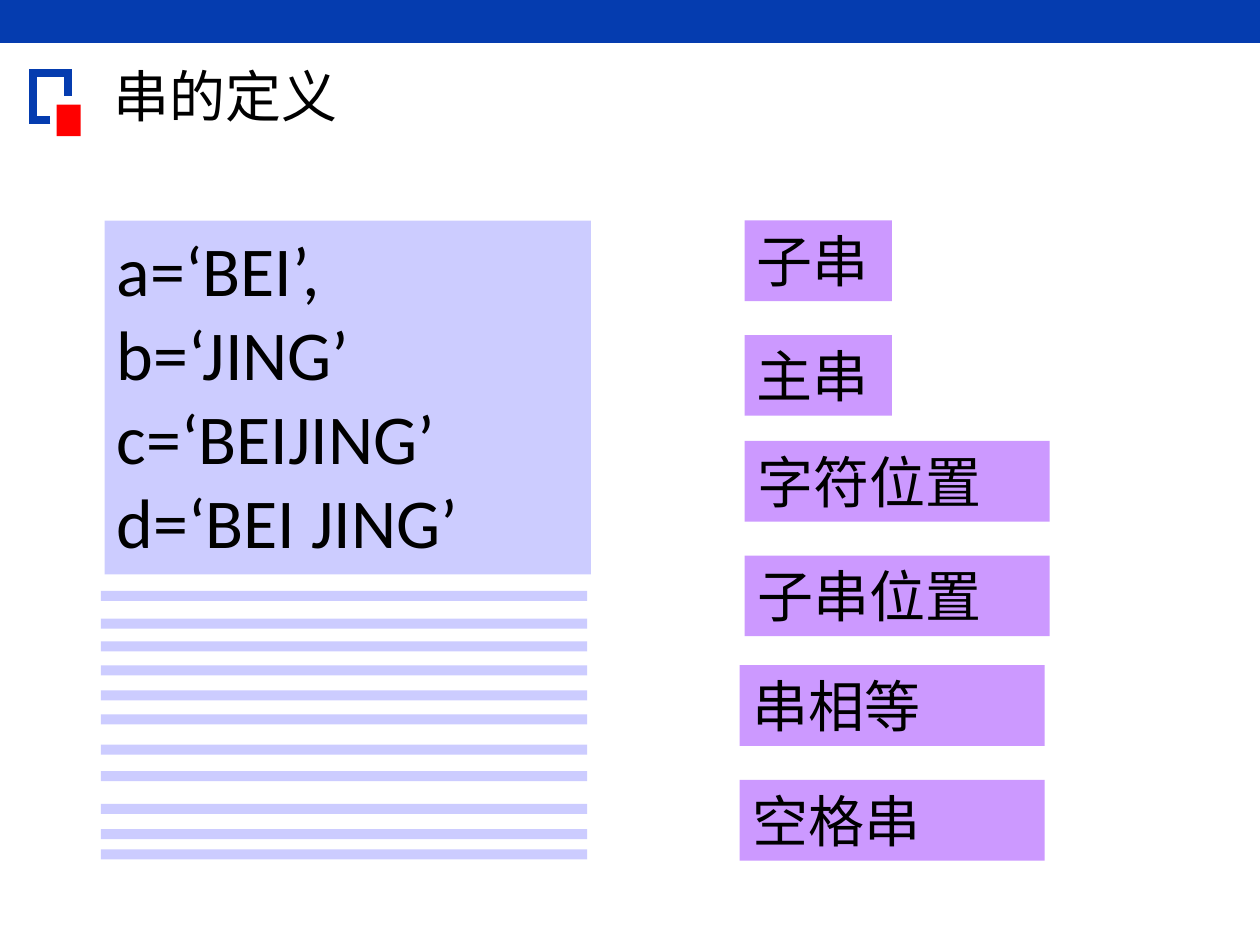
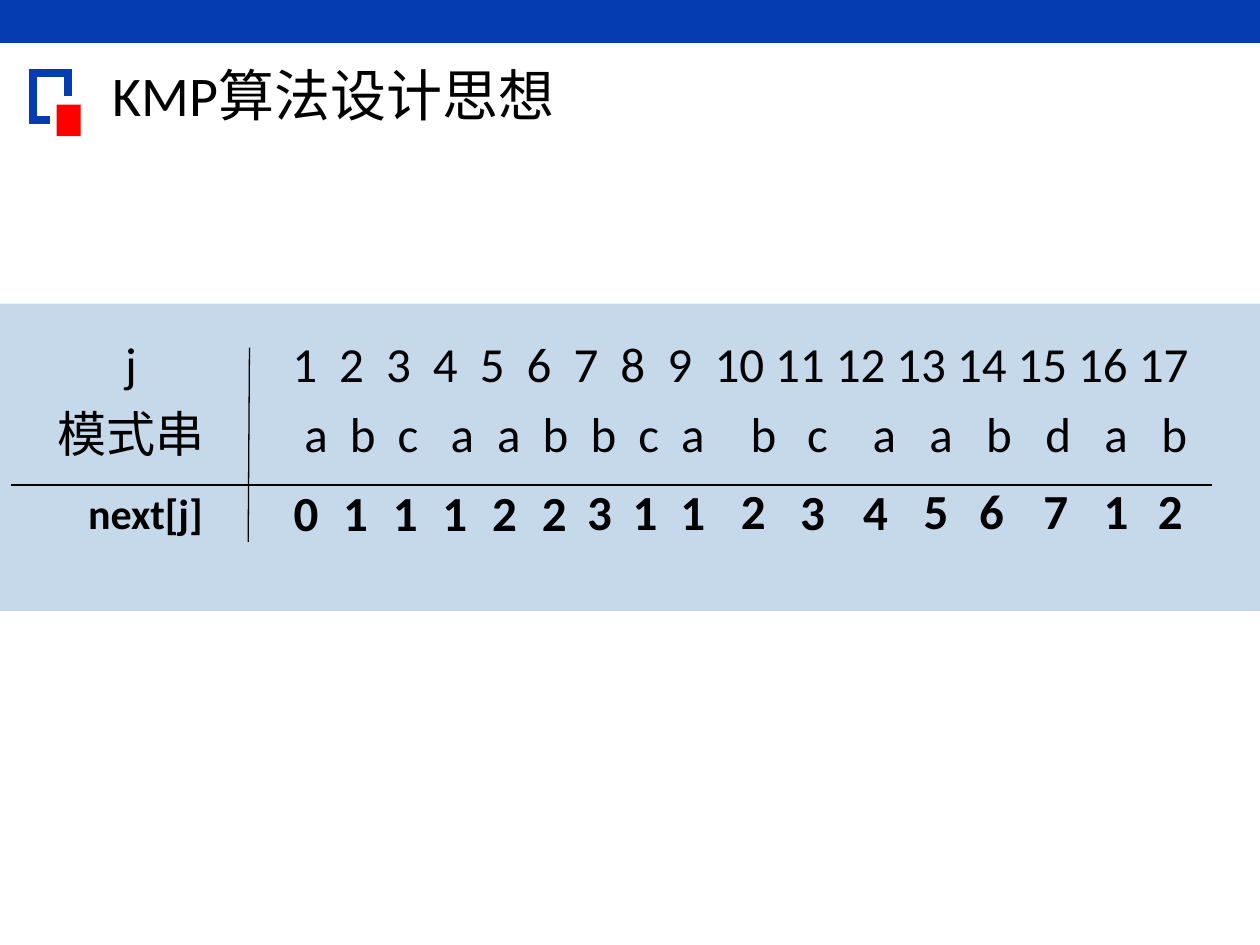
"""Builds two lesson slides on strings: definitions and the KMP next table."""
import dataclasses
import typing

import lxml.etree
import pptx
import pptx.dml.color
import pptx.enum.shapes
import pptx.enum.text
import pptx.oxml.ns
import pptx.util

Inches = pptx.util.Inches
Shape = pptx.enum.shapes.MSO_SHAPE
Anchor = pptx.enum.text.MSO_ANCHOR


@dataclasses.dataclass(frozen=True)
class Theme:
    font: str = "Calibri"
    ink: str = "000000"
    band: str = "053CAF"
    accent: str = "FF0000"
    code: str = "CCCCFF"
    term: str = "CC99FF"
    panel: str = "2E75B6"
    panel_opacity: int = 27
    title_size: int = 32
    code_size: int = 40
    table_size: int = 28
    label_size: int = 24


class Area(typing.NamedTuple):
    left: float
    top: float
    width: float
    height: float

    def lengths(self) -> list:
        return [Inches(value) for value in self]


class Term(typing.NamedTuple):
    text: str
    left: float
    top: float
    width: float


class NextValue(typing.NamedTuple):
    text: str
    left: float
    top: float


THEME = Theme()
TERM_HEIGHT = 0.64
TERMS = (
    Term("子串", 5.91, 1.75, 1.17),
    Term("主串", 5.91, 2.66, 1.17),
    Term("字符位置", 5.91, 3.5, 2.42),
    Term("子串位置", 5.91, 4.41, 2.42),
    Term("串相等", 5.87, 5.28, 2.42),
    Term("空格串", 5.87, 6.19, 2.42),
)
STRIPE_TOPS = (4.69, 4.91, 5.09, 5.28, 5.48, 5.67, 5.91, 6.12, 6.38, 6.58, 6.74)

PATTERN = "abcaabbcabcaabdab"
LABEL_CENTER = 1.04
INDEX_CENTERS = [2.42 + 0.372 * i for i in range(9)] + [5.87 + 0.481 * i for i in range(8)]
PATTERN_CENTERS = (2.51, 2.88, 3.24, 3.67, 4.04, 4.41, 4.79, 5.15, 5.5,
                   6.06, 6.49, 7.02, 7.47, 7.93, 8.4, 8.86, 9.32)
NEXT_VALUES = [NextValue(text, 2.33 + 0.394 * i, 3.83) for i, text in enumerate("011122")] + [
    NextValue("3", 4.66, 3.82),
    NextValue("1", 5.02, 3.82),
    NextValue("1", 5.4, 3.82),
    NextValue("2", 5.88, 3.81),
    NextValue("3", 6.35, 3.82),
    NextValue("4", 6.85, 3.82),
    NextValue("5", 7.33, 3.81),
    NextValue("6", 7.77, 3.81),
    NextValue("7", 8.28, 3.81),
    NextValue("1", 8.76, 3.81),
    NextValue("2", 9.19, 3.81),
]


def color(value: str) -> pptx.dml.color.RGBColor:
    return pptx.dml.color.RGBColor.from_string(value)


def add_tag(parent, tag: str, **attributes: str):
    return lxml.etree.SubElement(parent, pptx.oxml.ns.qn(tag), attributes)


def write(box, text: str, *, size: int, bold: bool = False, wrap: bool = True,
          inset: bool = True, anchor=Anchor.TOP, line_spacing: float = 1.0,
          before: float = 0, tab_rows: typing.Sequence = ()) -> None:
    frame = box.text_frame
    frame.text = text
    frame.auto_size = pptx.enum.text.MSO_AUTO_SIZE.NONE
    frame.word_wrap = wrap
    frame.vertical_anchor = anchor
    if not inset:
        frame.margin_left = frame.margin_right = frame.margin_top = frame.margin_bottom = 0
    for para in frame.paragraphs:
        para.alignment = pptx.enum.text.PP_ALIGN.LEFT
        para.line_spacing = line_spacing
        para.space_before = pptx.util.Pt(before)
        for span in para.runs:
            span.font.name = THEME.font
            span.font.size = pptx.util.Pt(size)
            span.font.bold = bold
            span.font.color.rgb = color(THEME.ink)
    for para, stops in zip(frame.paragraphs, tab_rows):
        tabs = add_tag(para._p.get_or_add_pPr(), "a:tabLst")
        for stop in stops:
            add_tag(tabs, "a:tab", pos=str(int(Inches(stop))), algn="ctr")


def add_block(page, area: Area, fill: str, opacity: int = 100):
    block = page.shapes.add_shape(Shape.RECTANGLE, *area.lengths())
    block.shadow.inherit = False
    block.line.fill.background()
    block.fill.solid()
    block.fill.fore_color.rgb = color(fill)
    if opacity < 100:
        fill_color = block.element.spPr.find(".//" + pptx.oxml.ns.qn("a:srgbClr"))
        add_tag(fill_color, "a:alpha", val=str(opacity * 1000))
    return block


def add_rule(page, start: tuple, end: tuple) -> None:
    points = [Inches(value) for value in (*start, *end)]
    rule = page.shapes.add_connector(pptx.enum.shapes.MSO_CONNECTOR.STRAIGHT, *points)
    rule.line.color.rgb = color(THEME.ink)
    rule.line.width = pptx.util.Pt(0.75)
    add_tag(rule.element.spPr, "a:effectLst")


def add_corner_mark(page) -> None:
    corners = [(Inches(x), Inches(y)) for x, y in
               ((0.4, 0.95), (0.26, 0.95), (0.26, 0.58), (0.54, 0.58), (0.54, 0.76))]
    builder = page.shapes.build_freeform(*corners[0])
    builder.add_line_segments(corners[1:], close=False)
    bracket = builder.convert_to_shape()
    bracket.shadow.inherit = False
    bracket.fill.background()
    bracket.line.color.rgb = color(THEME.band)
    bracket.line.width = pptx.util.Pt(4.5)
    add_tag(bracket.element.spPr.find(pptx.oxml.ns.qn("a:ln")), "a:miter", lim="800000")
    add_block(page, Area(0.45, 0.83, 0.19, 0.25), THEME.accent)


def add_page(deck, title: str, title_area: Area, line_spacing: float = 1.0):
    page = deck.slides.add_slide(deck.slide_layouts.get_by_name("Title Only"))
    add_block(page, Area(0, 0, 10, 0.34), THEME.band)
    add_corner_mark(page)
    heading = page.shapes.title
    heading.left, heading.top, heading.width, heading.height = title_area.lengths()
    write(heading, title, size=THEME.title_size, anchor=Anchor.MIDDLE, line_spacing=line_spacing)
    return page


def build_definitions(deck) -> None:
    page = add_page(deck, "串的定义", Area(0.8, 0.54, 7, 0.5), line_spacing=0.9)
    code = add_block(page, Area(0.83, 1.75, 3.86, 2.81), THEME.code)
    write(code, "a=‘BEI’,\nb=‘JING’\nc=‘BEIJING’\nd=‘BEI JING’", size=THEME.code_size)
    for term in TERMS:
        block = add_block(page, Area(term.left, term.top, term.width, TERM_HEIGHT), THEME.term)
        write(block, term.text, size=THEME.title_size)
    for top in STRIPE_TOPS:
        add_block(page, Area(0.8, top, 3.86, 0.08), THEME.code)


def build_next_table(deck) -> None:
    page = add_page(deck, "KMP算法设计思想", Area(0.79, 0.47, 7.01, 0.56))
    add_block(page, Area(0, 2.41, 10, 2.44), THEME.panel, THEME.panel_opacity)

    area = Area(0.02, 2.65, 9.92, 2.13)
    text_left = area.left + 0.1
    indexes = [str(number) for number in range(1, len(PATTERN) + 1)]
    rows = (["", "j", *indexes], ["", "模式串", *PATTERN])
    tab_rows = [[center - text_left for center in (LABEL_CENTER, *centers)]
                for centers in (INDEX_CENTERS, PATTERN_CENTERS)]
    write(page.shapes.add_textbox(*area.lengths()), "\n".join("\t".join(row) for row in rows),
          size=THEME.table_size, line_spacing=0.9, before=10, tab_rows=tab_rows)

    label = page.shapes.add_textbox(*Area(0.6, 3.82, 1.15, 0.5).lengths())
    write(label, "next[j]", size=THEME.label_size, bold=True, wrap=False)
    for value in NEXT_VALUES:
        box = page.shapes.add_textbox(*Area(value.left, value.top, 0.19, 0.47).lengths())
        write(box, value.text, size=THEME.table_size, bold=True, wrap=False, inset=False)
    add_rule(page, (0.09, 3.85), (9.62, 3.85))
    add_rule(page, (1.97, 4.3), (1.98, 2.76))


def main() -> None:
    deck = pptx.Presentation()
    deck.slide_width, deck.slide_height = Inches(10), Inches(7.5)
    build_definitions(deck)
    build_next_table(deck)
    deck.save("out.pptx")


if __name__ == "__main__":
    main()
